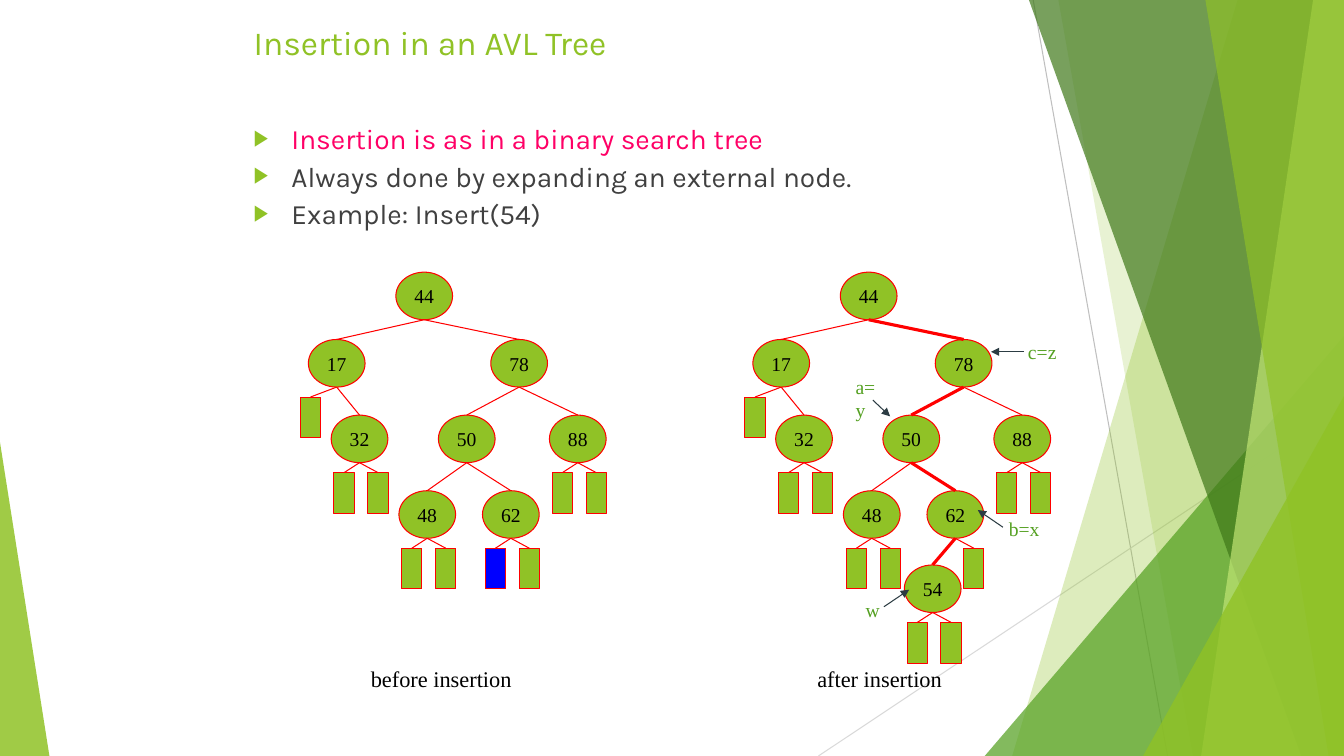
from dataclasses import dataclass, replace
from typing import Any

import lxml.etree
import pptx
import pptx.dml.color
import pptx.enum.shapes
import pptx.enum.text
import pptx.oxml.ns
import pptx.util

Pt = pptx.util.Pt
qn = pptx.oxml.ns.qn
SHAPE = pptx.enum.shapes.MSO_SHAPE
ALIGN = pptx.enum.text.PP_ALIGN
ANCHOR = pptx.enum.text.MSO_ANCHOR


@dataclass(frozen=True)
class Theme:
    lime: str = "90C226"
    green: str = "54A021"
    forest: str = "3F7819"
    pale: str = "C0E474"
    red: str = "FF0000"
    blue: str = "0000FF"
    pink: str = "FF0066"
    black: str = "000000"
    body: str = "404040"
    arrow: str = "2C3C43"
    sans: str = "Karla"
    serif: str = "Times New Roman"
    title_size: float = 24
    body_size: float = 20
    caption_size: float = 16
    node_size: float = 14
    thin: float = 0.75
    thick: float = 2.25


T = Theme()
WIDTH, HEIGHT = 960, 540


@dataclass(frozen=True)
class Facet:
    """A full-height panel at the right edge with a slanted left side."""
    top_x: float
    bottom_x: float
    color: str
    opacity: int


@dataclass(frozen=True)
class Corner:
    """A right triangle standing on the bottom edge."""
    left: float
    width: float
    height: float
    apex: float
    color: str
    opacity: int


@dataclass(frozen=True)
class Node:
    key: str
    x: float
    level: int
    parent: str = ""
    leaves: tuple[float, ...] = ()
    blue_left: bool = False


@dataclass(frozen=True)
class Label:
    text: str
    left: float
    top: float
    width: float
    height: float
    size: float
    color: str


@dataclass(frozen=True)
class Line:
    x1: float
    y1: float
    x2: float
    y2: float
    color: str


HAIRLINES = [Line(738, 0, 834, HEIGHT, "BFBFBF"), Line(WIDTH, 290, 584.6, HEIGHT, "D9D9D9")]
DECOR: list[Facet | Corner] = [
    Facet(884, 723, T.lime, 30),
    Facet(756, 852, T.lime, 20),
    Corner(703.4, 256.6, 300, 1, T.green, 72),
    Facet(735, 929.5, T.forest, 70),
    Facet(938, 858, T.pale, 70),
    Facet(861, 949, T.lime, 65),
    Corner(816.5, 143.5, 257, 1, T.lime, 80),
    Corner(0, 35.3, 224, 0, T.lime, 85),
]

NODE_W, NODE_H = 40.5, 34
LEAF_W, LEAF_H, LEAF_DROP = 14.5, 29, 41.1
LEVEL_TOPS = (194.4, 242.5, 296.5, 350.5, 403.5)
PAIR = (-11, 13.2)
AFTER_SHIFT = 317.5
BEFORE = [
    Node("44", 303, 0),
    Node("17", 240.5, 1, "44", (-18.7,)),
    Node("78", 370.8, 1, "44"),
    Node("32", 256.8, 2, "17", PAIR),
    Node("50", 333.4, 2, "78"),
    Node("88", 412.7, 2, "78", PAIR),
    Node("48", 305.2, 3, "50", PAIR),
    Node("62", 364.9, 3, "50", PAIR, blue_left=True),
]
AFTER = [replace(n, leaves=PAIR[1:], blue_left=False) if n.blue_left else n for n in BEFORE]
AFTER.append(Node("54", 348.7, 4, "62", PAIR))
INSERT_PATH = {"78", "50", "62", "54"}

LABELS = [
    Label("w", 611.3, 423.4, 24.5, 24, T.node_size, T.green),
    Label("b=x", 713.5, 365.8, 36.7, 24, T.node_size, T.green),
    Label("a=y", 604, 264.2, 35.3, 24, T.node_size, T.green),
    Label("c=z", 727.2, 239, 34.6, 24, T.node_size, T.green),
    Label("before insertion", 257.8, 471.6, 116, 26.6, T.caption_size, T.black),
    Label("after insertion", 576.7, 471.6, 104.4, 26.6, T.caption_size, T.black),
]
POINTERS = [
    Line(631.4, 433.4, 649.4, 421.2, T.arrow),
    Line(623.5, 285.8, 635.8, 297.4, T.arrow),
    Line(731.5, 251.3, 707.8, 251.3, T.arrow),
    Line(716.4, 376.6, 698.4, 364.3, T.arrow),
]
BULLETS = [
    ("Insertion is as in a binary search tree", T.pink),
    ("Always done by expanding an external node.", T.body),
    ("Example: Insert(54)", T.body),
]


def rgb(color: str) -> pptx.dml.color.RGBColor:
    return pptx.dml.color.RGBColor.from_string(color)


def add_run(p: Any, text: str, font: str, size: float, color: str) -> None:
    r = p.add_run()
    r.text = text
    r.font.name, r.font.size = font, Pt(size)
    r.font.color.rgb = rgb(color)


def add_line(shapes: Any, line: Line, width: float = T.thin, arrow: bool = False) -> Any:
    c = shapes.add_connector(pptx.enum.shapes.MSO_CONNECTOR.STRAIGHT,
                             Pt(line.x1), Pt(line.y1), Pt(line.x2), Pt(line.y2))
    c.line.color.rgb, c.line.width = rgb(line.color), Pt(width)
    if arrow:
        lxml.etree.SubElement(c.line._get_or_add_ln(), qn("a:tailEnd"), type="triangle")
    lxml.etree.SubElement(c.element.spPr, qn("a:effectLst"))
    return c


def add_decor(shapes: Any, item: Facet | Corner) -> None:
    if isinstance(item, Facet):
        builder = shapes.build_freeform(Pt(item.top_x), 0)
        builder.add_line_segments([(Pt(WIDTH), 0), (Pt(WIDTH), Pt(HEIGHT)),
                                   (Pt(item.bottom_x), Pt(HEIGHT))])
        sp = builder.convert_to_shape()
    else:
        sp = shapes.add_shape(SHAPE.ISOSCELES_TRIANGLE, Pt(item.left), Pt(HEIGHT - item.height),
                              Pt(item.width), Pt(item.height))
        sp.adjustments[0] = item.apex
    sp.shadow.inherit = False
    sp.fill.solid()
    sp.fill.fore_color.rgb = rgb(item.color)
    sp.line.fill.background()
    color = sp.element.spPr.find(qn("a:solidFill"))[0]
    lxml.etree.SubElement(color, qn("a:alpha"), val=str(item.opacity * 1000))


def add_tree_shape(shapes: Any, kind: Any, x: float, top: float, w: float, h: float,
                   color: str = T.lime) -> Any:
    """Draw a node or leaf centred on x."""
    sp = shapes.add_shape(kind, Pt(x - w / 2), Pt(top), Pt(w), Pt(h))
    sp.shadow.inherit = False
    sp.fill.solid()
    sp.fill.fore_color.rgb = rgb(color)
    sp.line.color.rgb, sp.line.width = rgb(T.red), Pt(T.thin)
    return sp


def add_tree(shapes: Any, nodes: list[Node], shift: float, path: set[str]) -> None:
    group = shapes.add_group_shape().shapes
    by_key = {n.key: n for n in nodes}

    def join(parent: Node, sp: Any, x: float, width: float = T.thin) -> None:
        bottom = LEVEL_TOPS[parent.level] + NODE_H
        c = add_line(group, Line(parent.x + shift, bottom, x, sp.top.pt, T.red), width)
        c.end_connect(sp, 0)

    for n in nodes:
        x, top = n.x + shift, LEVEL_TOPS[n.level]
        sp = add_tree_shape(group, SHAPE.OVAL, x, top, NODE_W, NODE_H)
        tf = sp.text_frame
        tf.word_wrap, tf.vertical_anchor = False, ANCHOR.MIDDLE
        tf.paragraphs[0].alignment = ALIGN.CENTER
        add_run(tf.paragraphs[0], n.key, T.serif, T.node_size, T.black)
        if n.parent:
            join(by_key[n.parent], sp, x, T.thick if n.key in path else T.thin)
        for i, dx in enumerate(n.leaves):
            color = T.blue if n.blue_left and i == 0 else T.lime
            leaf = add_tree_shape(group, SHAPE.RECTANGLE, x + dx, top + LEAF_DROP,
                                  LEAF_W, LEAF_H, color)
            join(n, leaf, x + dx)


def add_label(shapes: Any, label: Label) -> None:
    tf = shapes.add_textbox(Pt(label.left), Pt(label.top), Pt(label.width),
                            Pt(label.height)).text_frame
    tf.word_wrap = False
    add_run(tf.paragraphs[0], label.text, T.serif, label.size, label.color)


def place(sp: Any, top: float, height: float) -> Any:
    sp.left, sp.top, sp.width, sp.height = Pt(174), Pt(top), Pt(612), Pt(height)
    tf = sp.text_frame
    tf.word_wrap, tf.vertical_anchor = True, ANCHOR.TOP
    tf.auto_size = pptx.enum.text.MSO_AUTO_SIZE.NONE
    return tf


def fill_body(tf: Any) -> None:
    for i, (text, color) in enumerate(BULLETS):
        p = tf.add_paragraph() if i else tf.paragraphs[0]
        pPr = p._p.get_or_add_pPr()
        pPr.set("marL", str(Pt(27)))
        pPr.set("indent", str(-Pt(27)))
        bullet_color = lxml.etree.SubElement(pPr, qn("a:buClr"))
        lxml.etree.SubElement(bullet_color, qn("a:srgbClr"), val=T.lime)
        lxml.etree.SubElement(pPr, qn("a:buSzPct"), val="80000")
        lxml.etree.SubElement(pPr, qn("a:buChar"), char="▶")
        p.line_spacing, p.space_before = 0.7, Pt(10 if i else 0)
        add_run(p, text, T.sans, T.body_size, color)


def main() -> None:
    prs = pptx.Presentation()
    prs.slide_width, prs.slide_height = Pt(WIDTH), Pt(HEIGHT)
    s = prs.slides.add_slide(prs.slide_layouts[1])
    title, body = s.shapes.title, s.placeholders[1]

    backdrop = s.shapes.add_group_shape()
    for line in HAIRLINES:
        add_line(backdrop.shapes, line)
    for item in DECOR:
        add_decor(backdrop.shapes, item)
    title.element.addprevious(backdrop.element)

    p = place(title, 12.2, 60).paragraphs[0]
    p.alignment = ALIGN.LEFT
    add_run(p, "Insertion in an AVL Tree", T.sans, T.title_size, T.lime)
    fill_body(place(body, 90, 84))

    add_tree(s.shapes, AFTER, AFTER_SHIFT, INSERT_PATH)
    for label in LABELS:
        add_label(s.shapes, label)
    for pointer in POINTERS:
        add_line(s.shapes, pointer, arrow=True)
    add_tree(s.shapes, BEFORE, 0, set())
    prs.save("out.pptx")


if __name__ == "__main__":
    main()
